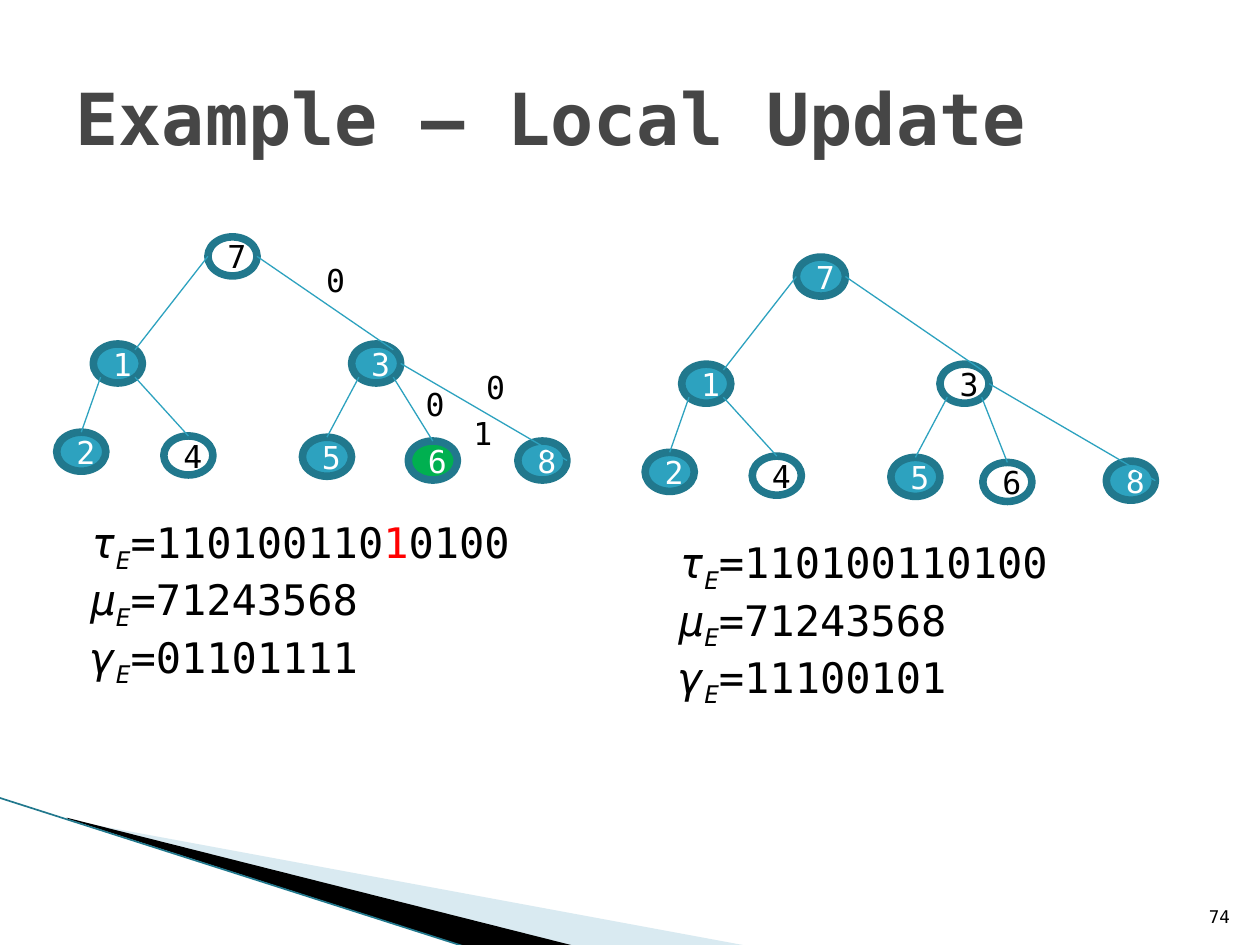
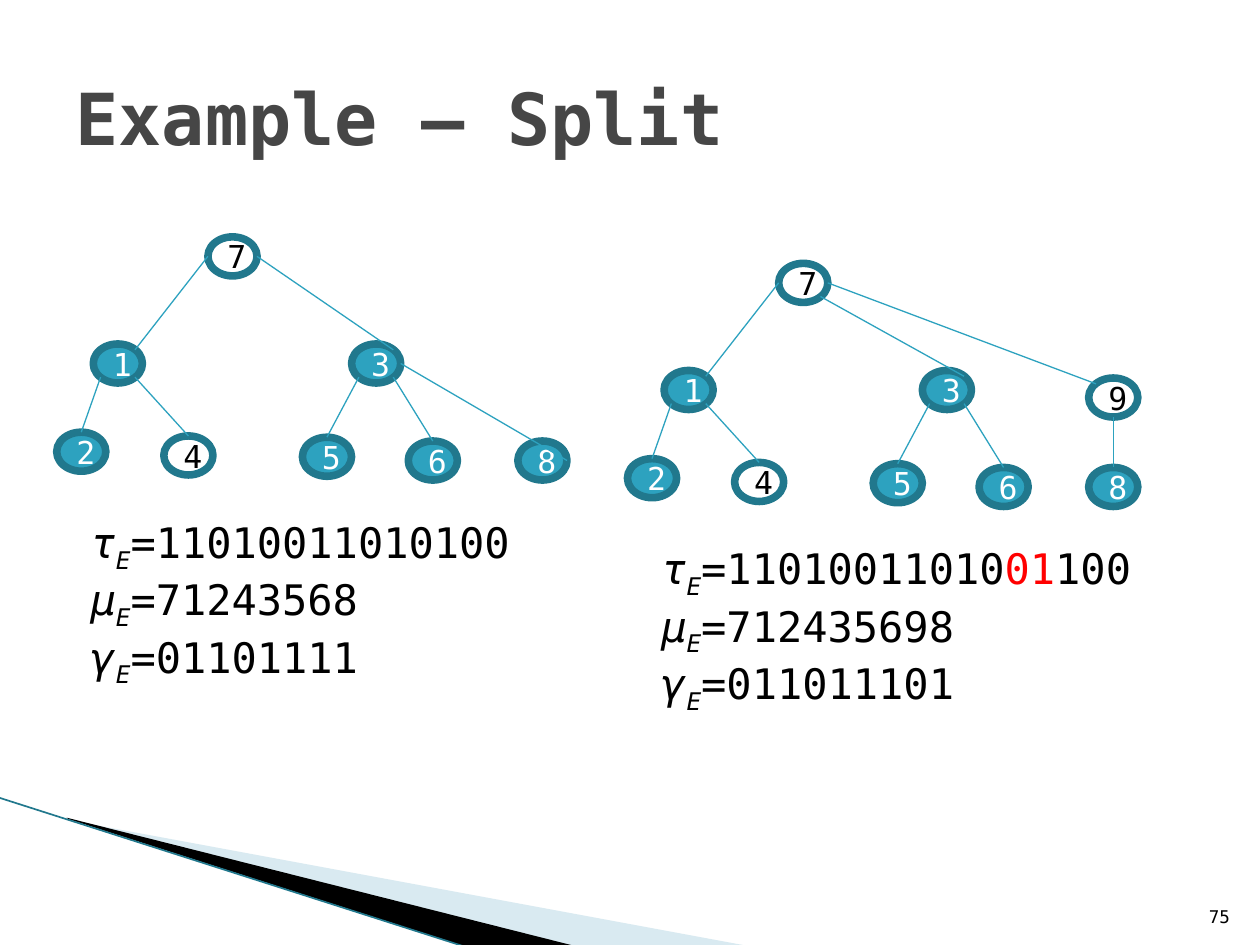
from dataclasses import dataclass, field
from enum import Enum

import lxml.etree
import pptx
import pptx.dml.color
import pptx.enum.shapes
import pptx.enum.text
import pptx.oxml.ns
import pptx.util

SCALE = 9144
FONT = "DejaVu Sans Mono"
INK = "000000"
WHITE = "FFFFFF"
TITLE_GREY = "464646"
TEAL = "2DA2BF"
DARK_TEAL = "21788D"
PALE_TEAL = "A0CBDC"
GREEN = "00B050"
RED = "FF0000"
NODE_WIDTH, NODE_HEIGHT = 39, 31
ALIGN = pptx.enum.text.PP_ALIGN
ANCHOR = pptx.enum.text.MSO_ANCHOR


class Site(Enum):
    TOP = (0.5, 0)
    TOP_LEFT = (0.15, 0.15)
    LEFT = (0, 0.5)
    BOTTOM_LEFT = (0.15, 0.85)
    BOTTOM = (0.5, 1)
    BOTTOM_RIGHT = (0.85, 0.85)
    RIGHT = (1, 0.5)
    TOP_RIGHT = (0.85, 0.15)


@dataclass(frozen=True)
class Edge:
    parent: str
    child: str
    leave: Site
    enter: Site = Site.TOP


@dataclass(frozen=True)
class Tree:
    tau: tuple[str, str, str]
    mu: str
    gamma: str
    edges: tuple[Edge, ...]
    offset: tuple[int, int] = (0, 0)
    text_width: int = 378
    moved: dict[str, tuple[int, int]] = field(default_factory=dict)
    fills: dict[str, str] = field(default_factory=dict)


@dataclass(frozen=True)
class Label:
    text: str
    left: int
    top: int


@dataclass(frozen=True)
class Example:
    title: str
    number: int
    trees: tuple[Tree, ...]
    labels: tuple[Label, ...] = ()


NODE_PLACES = {
    "7": (165, 188), "1": (74, 273), "2": (45, 343), "4": (130, 346),
    "3": (279, 273), "5": (240, 347), "6": (324, 350), "8": (411, 350),
    "9": (411, 279),
}
SHARED_EDGES = (
    Edge("1", "2", Site.BOTTOM_LEFT),
    Edge("1", "4", Site.BOTTOM_RIGHT),
    Edge("3", "5", Site.BOTTOM_LEFT),
    Edge("3", "6", Site.BOTTOM_RIGHT),
    Edge("7", "1", Site.LEFT, Site.TOP_RIGHT),
)
BASE_EDGES = SHARED_EDGES + (
    Edge("7", "3", Site.RIGHT, Site.TOP_RIGHT),
    Edge("3", "8", Site.RIGHT, Site.RIGHT),
)
SPLIT_EDGES = SHARED_EDGES + (
    Edge("7", "3", Site.BOTTOM_RIGHT, Site.TOP_RIGHT),
    Edge("9", "8", Site.BOTTOM),
    Edge("7", "9", Site.RIGHT, Site.TOP_LEFT),
)

EXAMPLES = (
    Example(
        "Example – Local Update", 74,
        (
            Tree(("110100110", "1", "0100"), "71243568", "01101111", BASE_EDGES,
                 fills={"6": GREEN}),
            Tree(("110100110100", "", ""), "71243568", "11100101", BASE_EDGES,
                 offset=(467, 16), moved={"6": (313, 351)}),
        ),
        (Label("1", 366, 324), Label("0", 376, 287),
         Label("0", 328, 301), Label("0", 249, 202)),
    ),
    Example(
        "Example – Split", 75,
        (
            Tree(("11010011010100", "", ""), "71243568", "01101111", BASE_EDGES),
            Tree(("11010011010", "01", "100"), "712435698", "011011101", SPLIT_EDGES,
                 offset=(453, 21), text_width=457),
        ),
    ),
)


def px(length: float) -> int:
    return round(length * SCALE)


def colour(value: str):
    return pptx.dml.color.RGBColor.from_string(value)


def style(span, size: int, value: str, bold: bool = False, italic: bool = False) -> None:
    span.font.name = FONT
    span.font.size = pptx.util.Pt(size)
    span.font.color.rgb = colour(value)
    span.font.bold = bold
    span.font.italic = italic


def set_line(shape, value: str, width: float) -> None:
    shape.line.color.rgb = colour(value)
    shape.line.width = pptx.util.Pt(width)


def add_text(page, left: int, top: int, width: int, height: int, wrap: bool = True):
    box = page.shapes.add_textbox(px(left), px(top), px(width), px(height))
    box.text_frame.word_wrap = wrap
    return box.text_frame


def add_line(page, start: tuple[float, float], end: tuple[float, float],
             value: str, width: float):
    line = page.shapes.add_connector(
        pptx.enum.shapes.MSO_CONNECTOR.STRAIGHT,
        px(start[0]), px(start[1]), px(end[0]), px(end[1]))
    set_line(line, value, width)
    properties = line._element.find(pptx.oxml.ns.qn("p:spPr"))
    lxml.etree.SubElement(properties, pptx.oxml.ns.qn("a:effectLst"))
    return line


def add_band(page, points: list[tuple[int, int]], value: str, opacity: int = 100) -> None:
    builder = page.shapes.build_freeform(*points[0], scale=SCALE)
    builder.add_line_segments(points[1:], close=True)
    band = builder.convert_to_shape()
    band.shadow.inherit = False
    band.line.fill.background()
    band.fill.solid()
    band.fill.fore_color.rgb = colour(value)
    if opacity < 100:
        tint = next(band._element.iter(pptx.oxml.ns.qn("a:srgbClr")))
        alpha = lxml.etree.SubElement(tint, pptx.oxml.ns.qn("a:alpha"))
        alpha.set("val", str(opacity * 1000))


def add_frame(page, example: Example) -> None:
    add_band(page, [(55, 651), (595, 751), (456, 751), (55, 650)], PALE_TEAL, 40)
    add_band(page, [(53, 649), (457, 751), (372, 752), (54, 650)], INK)
    add_line(page, (-1, 633), (371, 752), DARK_TEAL, 0.95)

    frame = add_text(page, 946, 701, 40, 40)
    frame.text = str(example.number)
    frame.vertical_anchor = ANCHOR.BOTTOM
    frame.paragraphs[0].alignment = ALIGN.RIGHT
    style(frame.paragraphs[0].runs[0], 10, INK)

    title = page.shapes.title
    title.left, title.top, title.width, title.height = map(px, (50, 30, 900, 125))
    frame = title.text_frame
    frame.text = example.title
    frame.auto_size = pptx.enum.text.MSO_AUTO_SIZE.NONE
    frame.vertical_anchor = ANCHOR.MIDDLE
    frame.paragraphs[0].alignment = ALIGN.LEFT
    style(frame.paragraphs[0].runs[0], 41, TITLE_GREY, bold=True)


def add_node(page, name: str, place: tuple[int, int], fill: str | None):
    node = page.shapes.add_shape(
        pptx.enum.shapes.MSO_SHAPE.OVAL,
        px(place[0]), px(place[1]), px(NODE_WIDTH), px(NODE_HEIGHT))
    node.shadow.inherit = False
    set_line(node, DARK_TEAL, 4.33)
    if fill:
        node.fill.solid()
        node.fill.fore_color.rgb = colour(fill)
    else:
        node.fill.background()
    node.text_frame.text = name
    node.text_frame.vertical_anchor = ANCHOR.MIDDLE
    para = node.text_frame.paragraphs[0]
    para.alignment = ALIGN.CENTER
    style(para.runs[0], 18, WHITE if fill else INK)
    return node


def site_point(place: tuple[int, int], site: Site) -> tuple[float, float]:
    across, down = site.value
    return place[0] + across * NODE_WIDTH, place[1] + down * NODE_HEIGHT


def add_sequence(para, symbol: str, parts: tuple[str, ...]) -> None:
    for text in (symbol, "E"):
        span = para.add_run()
        span.text = text
        style(span, 24, INK, italic=True)
    span._r.get_or_add_rPr().set("baseline", "-25000")
    for text, value in zip(parts, (INK, RED, INK)):
        if text:
            span = para.add_run()
            span.text = text
            style(span, 24, value)


def add_tree(page, tree: Tree) -> None:
    shift_x, shift_y = tree.offset
    places = {name: (left + shift_x, top + shift_y)
              for name, (left, top) in (NODE_PLACES | tree.moved).items()}
    nodes = {}
    for name, bit in zip(tree.mu, tree.gamma):
        fill = tree.fills.get(name, TEAL) if bit == "1" else None
        nodes[name] = add_node(page, name, places[name], fill)
    for edge in tree.edges:
        line = add_line(page, site_point(places[edge.parent], edge.leave),
                        site_point(places[edge.child], edge.enter), TEAL, 0.75)
        if edge.enter is Site.TOP:
            line.end_connect(nodes[edge.child], 0)

    frame = add_text(page, 62 + shift_x, 405 + shift_y, tree.text_width, 131)
    before, changed, after = tree.tau
    sequences = (("τ", ("=" + before, changed, after)),
                 ("μ", ("=" + tree.mu,)), ("γ", ("=" + tree.gamma,)))
    for index, (symbol, parts) in enumerate(sequences):
        para = frame.add_paragraph() if index else frame.paragraphs[0]
        add_sequence(para, symbol, parts)


def add_label(page, label: Label) -> None:
    frame = add_text(page, label.left, label.top, 36, 40, wrap=False)
    frame.text = label.text
    style(frame.paragraphs[0].runs[0], 18, INK)


def main() -> None:
    deck = pptx.Presentation()
    deck.slide_width, deck.slide_height = px(1000), px(750)
    for example in EXAMPLES:
        page = deck.slides.add_slide(deck.slide_layouts.get_by_name("Title Only"))
        add_frame(page, example)
        for tree in example.trees:
            add_tree(page, tree)
        for label in example.labels:
            add_label(page, label)
    deck.save("out.pptx")


if __name__ == "__main__":
    main()
